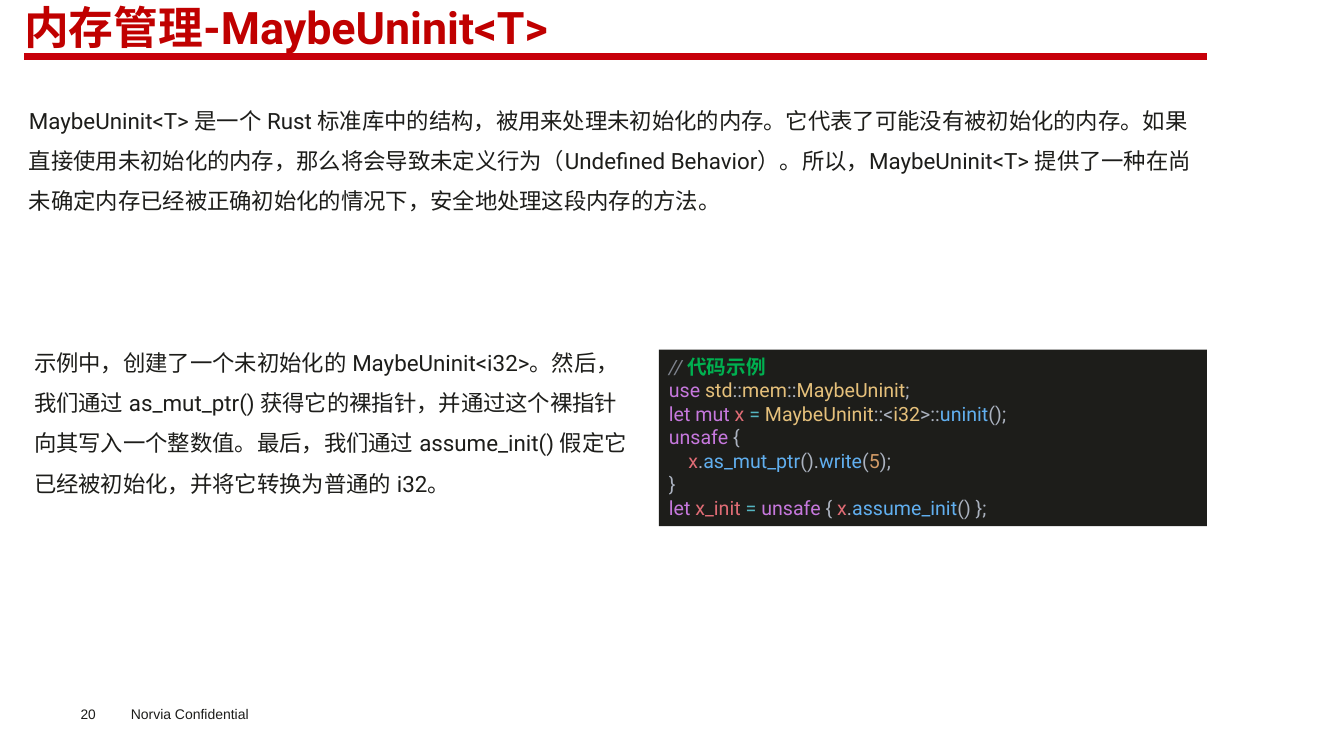
"""Build a slide that explains MaybeUninit<T> with a highlighted code sample."""
from lxml.etree import SubElement
from pptx import Presentation
from pptx.dml.color import RGBColor
from pptx.enum.shapes import MSO_CONNECTOR as Connector, MSO_SHAPE as Shape
from pptx.enum.text import MSO_ANCHOR as Anchor, PP_ALIGN as Align
from pptx.oxml.ns import qn
from pptx.util import Inches, Pt

COLORS = {
    "title": "C00000", "rule": "C7000A", "ink": "1D1D1B", "body": "1D1D1A",
    "comment": "7F848E", "heading": "00B050", "keyword": "C678DD",
    "type": "E5C07B", "plain": "ABB2BF", "variable": "E06C75",
    "operator": "56B6C2", "function": "61AFEF", "number": "D19A66",
}

presentation = Presentation()
presentation.slide_width, presentation.slide_height = Inches(13.34), Inches(7.5)
slide = presentation.slides.add_slide(presentation.slide_layouts[6])


def area(left, top, width, height):
    """Turn percentages of the slide's size into lengths."""
    across, down = presentation.slide_width / 100, presentation.slide_height / 100
    return [int(share * unit) for share, unit in
            zip((left, top, width, height), (across, down, across, down))]


def style(run, size, color, name="Roboto"):
    """Set size, colour and typeface of a run."""
    run.font.size = Pt(size)
    run.font.color.rgb = RGBColor.from_string(COLORS[color])
    run.font.name = name
    SubElement(run.font._element, qn("a:ea")).set("typeface", name)


LEFT, RIGHT = 1.8, 89.8
texts = [
    ("Norvia Confidential", (9, 92.67, 12, 3.6), 10, "ink", "Arial", None, True),
    ("20", (6, 93.33, 4.12, 2.13), 9.8, "ink", "Arial", None, False),
    ("内存管理-MaybeUninit<T>", (LEFT, 0.67, RIGHT - LEFT, 8.13), 32, "title",
     "Roboto", Pt(34.3), False),
    ("MaybeUninit<T> 是一个 Rust 标准库中的结构，被用来处理未初始化的内存。"
     "它代表了可能没有被初始化的内存。如果直接使用未初始化的内存，"
     "那么将会导致未定义行为（Undefined Behavior）。所以，MaybeUninit<T> "
     "提供了一种在尚未确定内存已经被正确初始化的情况下，安全地处理这段内存的方法。",
     (1.42, 11.73, 88.38, 17.47), 16, "body", "Roboto", 1.5, True),
    ("示例中，创建了一个未初始化的 MaybeUninit<i32>。然后，我们通过 as_mut_ptr() "
     "获得它的裸指针，并通过这个裸指针向其写入一个整数值。最后，我们通过 "
     "assume_init() 假定它已经被初始化，并将它转换为普通的 i32。",
     (LEFT, 43.73, 45.88, 22.27), 16, "body", "Roboto", 1.5, True),
]
for text, box, size, color, name, spacing, padded in texts:
    frame = slide.shapes.add_textbox(*area(*box)).text_frame
    frame.word_wrap = True
    if not padded:
        frame.margin_left = frame.margin_right = 0
        frame.margin_top = frame.margin_bottom = 0
    frame.text = text
    paragraph = frame.paragraphs[0]
    paragraph.line_spacing = spacing
    style(paragraph.runs[0], size, color, name)
    paragraph.runs[0].font.bold = color == "title"

start_x, start_y, end_x, end_y = area(LEFT, 7.47, RIGHT, 7.47)
rule = slide.shapes.add_connector(Connector.STRAIGHT, start_x, start_y, end_x, end_y)
rule.line.color.rgb = RGBColor.from_string(COLORS["rule"])
rule.line.width = Pt(4.5)
SubElement(rule._element.spPr, qn("a:effectLst"))

code_lines = [
    [("// ", "comment"), ("代码示例", "heading")],
    [("use ", "keyword"), ("std", "type"), ("::", "plain"), ("mem", "type"),
     ("::", "plain"), ("MaybeUninit", "type"), (";", "plain")],
    [("let mut ", "keyword"), ("x ", "variable"), ("= ", "operator"),
     ("MaybeUninit", "type"), ("::<", "plain"), ("i32", "type"),
     (">::", "plain"), ("uninit", "function"), ("();", "plain")],
    [("unsafe", "keyword"), (" {", "plain")],
    [("    ", "plain"), ("x", "variable"), (".", "plain"),
     ("as_mut_ptr", "function"), ("().", "plain"), ("write", "function"),
     ("(", "plain"), ("5", "number"), (");", "plain")],
    [("}", "plain")],
    [("let ", "keyword"), ("x_init ", "variable"), ("= ", "operator"),
     ("unsafe", "keyword"), (" { ", "plain"), ("x", "variable"), (".", "plain"),
     ("assume_init", "function"), ("() };", "plain")],
]
panel = slide.shapes.add_shape(Shape.RECTANGLE, *area(49.03, 46.27, RIGHT - 49.03, 23.33))
panel.shadow.inherit = False
panel.fill.solid()
panel.fill.fore_color.rgb = RGBColor.from_string(COLORS["body"])
panel.line.fill.background()
frame = panel.text_frame
frame.word_wrap = True
frame.vertical_anchor = Anchor.TOP
frame.text = "\n".join("" for line in code_lines)
for paragraph, line in zip(frame.paragraphs, code_lines):
    paragraph.alignment = Align.LEFT
    for text, color in line:
        run = paragraph.add_run()
        run.text = text
        style(run, 14, color)
        run.font.italic = color == "comment"
        run.font.bold = color == "heading"

presentation.save("out.pptx")
